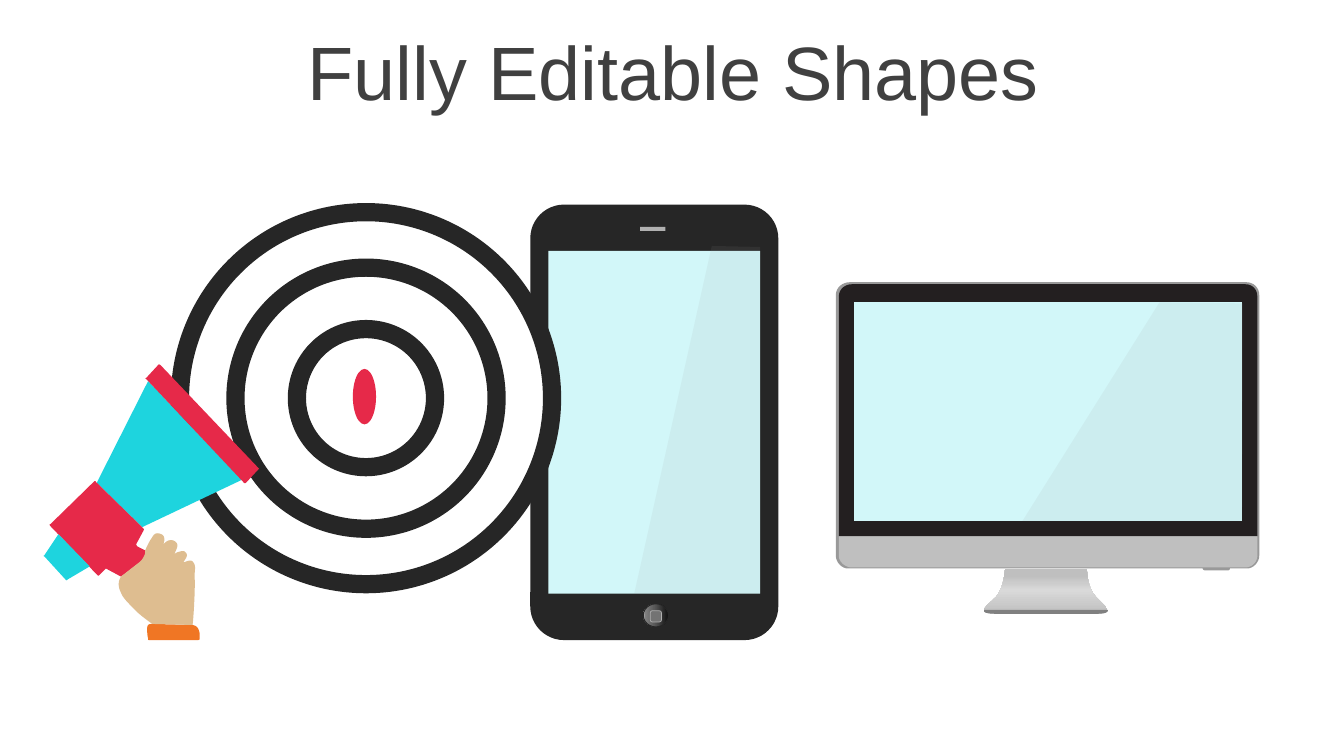
import pptx
import pptx.util
import pptx.dml.color
import pptx.enum.shapes
import pptx.enum.text
import pptx.oxml
import pptx.oxml.ns
from lxml import etree

Inches = pptx.util.Inches
RGBColor = pptx.dml.color.RGBColor
PRESET = pptx.enum.shapes.MSO_SHAPE
qn = pptx.oxml.ns.qn

TITLE_GREY = RGBColor(0x40, 0x40, 0x40)
WHITE = RGBColor(0xFF, 0xFF, 0xFF)
BLACK = RGBColor(0x26, 0x26, 0x26)
BEZEL = RGBColor(0x23, 0x1F, 0x20)
RIM = RGBColor(0x99, 0x99, 0x99)
SILVER = RGBColor(0xBF, 0xBF, 0xBF)
LIGHT_SILVER = RGBColor(0xD9, 0xD9, 0xD9)
FOOT_GREY = RGBColor(0x80, 0x80, 0x80)
SPEAKER_GREY = RGBColor(0xB0, 0xB0, 0xB0)
ICON_GREY = RGBColor(0x73, 0x73, 0x73)
BUTTON_DARK = RGBColor(0x0F, 0x0F, 0x0F)
BUTTON_MID = RGBColor(0x59, 0x59, 0x59)
SCREEN = RGBColor(0xD2, 0xF7, 0xF9)
RED = RGBColor(0xE6, 0x29, 0x49)
TEAL = RGBColor(0x1E, 0xD4, 0xDE)
SKIN = RGBColor(0xDE, 0xBD, 0x90)
ORANGE = RGBColor(0xF0, 0x76, 0x24)

STAND_STOPS = [(0, SILVER), (53, LIGHT_SILVER), (83, SILVER), (100, SILVER)]
BUTTON_STOPS = [(0, BUTTON_DARK), (56, BUTTON_MID), (91, FOOT_GREY), (100, SILVER)]
CURVE_STEPS = 8


def write(box, text, size, color, font="Arial", align=pptx.enum.text.PP_ALIGN.CENTER):
    frame = box.text_frame
    frame.word_wrap = True
    frame.auto_size = pptx.enum.text.MSO_AUTO_SIZE.NONE
    frame.vertical_anchor = pptx.enum.text.MSO_ANCHOR.MIDDLE
    para = frame.paragraphs[0]
    para.alignment = align
    para.line_spacing = 0.9
    span = para.add_run()
    span.text = text
    span.font.name = font
    span.font.size = pptx.util.Pt(size)
    span.font.color.rgb = color


def add_part(group, geometry, fill, preset=None, alpha=None, angle=0, line=None, width=0):
    """Add a preset in a (left, top, width, height) box, or an outline whose
    2-tuples are corners and 6-tuples are Bezier curves. A list fill is a gradient."""
    if preset is not None:
        part = group.shapes.add_shape(preset, *[Inches(length) for length in geometry])
    else:
        points = [geometry[0]]
        for step in geometry[1:]:
            if len(step) == 2:
                points.append(step)
                continue
            x0, y0 = points[-1]
            x1, y1, x2, y2, x3, y3 = step
            for i in range(1, CURVE_STEPS + 1):
                t = i / CURVE_STEPS
                a, b, c, d = (1 - t) ** 3, 3 * t * (1 - t) ** 2, 3 * t * t * (1 - t), t ** 3
                points.append((a * x0 + b * x1 + c * x2 + d * x3,
                               a * y0 + b * y1 + c * y2 + d * y3))
        corners = [(Inches(x), Inches(y)) for x, y in points]
        builder = group.shapes.build_freeform(*corners[0], scale=1.0)
        builder.add_line_segments(corners[1:], close=True)
        part = builder.convert_to_shape()
    part.shadow.inherit = False
    if isinstance(fill, list):
        part.fill.gradient()
        part.fill.gradient_angle = angle
        stops = part._element.spPr.find(qn("a:gradFill")).find(qn("a:gsLst"))
        for stop in list(stops):
            stops.remove(stop)
        for position, color in fill:
            stop = etree.SubElement(stops, qn("a:gs"), pos=str(position * 1000))
            etree.SubElement(stop, qn("a:srgbClr"), val=str(color))
    else:
        part.fill.solid()
        part.fill.fore_color.rgb = fill
        if alpha is not None:
            color = part._element.spPr.find(qn("a:solidFill"))[0]
            etree.SubElement(color, qn("a:alpha"), val=str(alpha * 1000))
    if line is None:
        part.line.fill.background()
    else:
        part.line.color.rgb = line
        part.line.width = pptx.util.Pt(width)
    return part


deck = pptx.Presentation()
deck.slide_width, deck.slide_height = Inches(13.33), Inches(7.5)
page = deck.slides.add_slide(deck.slide_layouts[5])

# Title
title = page.shapes.title
title.left, title.top, title.width, title.height = map(Inches, (0.35, 0.36, 12.66, 0.79))
write(title, "Fully Editable Shapes", size=54, color=TITLE_GREY)

# Monitor
monitor = page.shapes.add_group_shape()
stand = [(10.87, 5.92), (10.78, 5.83, 10.78, 5.64, 10.78, 5.64), (9.97, 5.64),
         (9.97, 5.64, 9.96, 5.83, 9.88, 5.92), (9.79, 6.01, 9.65, 6.09, 9.89, 6.09),
         (10.85, 6.09), (11.09, 6.09, 10.95, 6.01, 10.87, 5.92)]
case = [(12.36, 2.8), (8.43, 2.8), (8.36, 2.8, 8.29, 2.85, 8.29, 2.93), (8.29, 5.51),
        (8.29, 5.58, 8.35, 5.64, 8.41, 5.64), (12.37, 5.64),
        (12.43, 5.64, 12.49, 5.58, 12.49, 5.51), (12.49, 2.93),
        (12.49, 2.85, 12.43, 2.8, 12.36, 2.8)]
port = [(11.93, 5.63), (11.93, 5.63, 11.92, 5.65, 11.95, 5.66), (12.18, 5.66),
        (12.18, 5.66, 12.2, 5.66, 12.2, 5.63)]
bezel = [(12.35, 2.82), (8.45, 2.82), (8.38, 2.82, 8.32, 2.87, 8.32, 2.94), (8.32, 5.32),
         (12.47, 5.32), (12.47, 2.94), (12.47, 2.87, 12.42, 2.82, 12.35, 2.82)]
foot = [(9.76, 6.05), (9.76, 6.06), (9.76, 6.08, 9.8, 6.09, 9.9, 6.09), (10.86, 6.09),
        (10.96, 6.09, 10.99, 6.08, 10.99, 6.05)]
chin = [(8.32, 5.52), (8.32, 5.57, 8.38, 5.63, 8.45, 5.63), (12.35, 5.63),
        (12.42, 5.63, 12.47, 5.57, 12.47, 5.52), (12.47, 5.32), (8.32, 5.32)]
display = [(8.47, 3), (12.32, 3), (12.32, 5.17), (8.47, 5.17)]
add_part(monitor, stand, STAND_STOPS, angle=90)
for outline, color in [(case, RIM), (port, RIM), (bezel, BEZEL), (foot, FOOT_GREY),
                       (chin, SILVER), (display, SCREEN)]:
    add_part(monitor, outline, color)
add_part(monitor, [(11.5, 3), (12.33, 3.01), (12.32, 5.17), (10.14, 5.17)], RIM, alpha=10)

# Tablet
tablet = page.shapes.add_group_shape()
body = add_part(tablet, (5.26, 2.03, 2.46, 4.32), BLACK, PRESET.ROUNDED_RECTANGLE)
body.adjustments[0] = 0.136
add_part(tablet, (6.35, 2.25, 0.25, 0.04), SPEAKER_GREY, PRESET.RECTANGLE)
add_part(tablet, (6.38, 5.99, 0.25, 0.23), BUTTON_STOPS, PRESET.OVAL, angle=180, line=BLACK)
add_part(tablet, (6.45, 6.06, 0.11, 0.11), ICON_GREY, PRESET.ROUNDED_RECTANGLE,
         line=SPEAKER_GREY, width=0.5)
add_part(tablet, (5.44, 2.49, 2.1, 3.4), SCREEN, PRESET.RECTANGLE)
add_part(tablet, [(7.06, 2.44), (7.54, 2.45), (7.54, 5.89), (6.29, 5.89)], RIM, alpha=10)

# Target: concentric rings and a bullseye
target = page.shapes.add_group_shape()
center_x, center_y = 3.63, 3.95
for diameter in (3.69, 2.59, 1.37):
    ring = (center_x - diameter / 2, center_y - diameter / 2, diameter, diameter)
    add_part(target, ring, WHITE, PRESET.OVAL, line=BLACK, width=13)
add_part(target, (3.5, 3.66, 0.23, 0.55), RED, PRESET.OVAL)

# Megaphone held by a hand
megaphone = page.shapes.add_group_shape()
horn = [(0.96, 4.79), (1.47, 3.78), (2.4, 4.76), (1.41, 5.23)]
grip = [(1.41, 5.23), (1.43, 5.25, 1.43, 5.25, 1.42, 5.27), (1.35, 5.4), (1.36, 5.42),
        (1.44, 5.46), (1.46, 5.47, 1.46, 5.47, 1.45, 5.49),
        (1.44, 5.51, 1.42, 5.55, 1.4, 5.57), (1.2, 5.72), (1.05, 5.64), (0.98, 5.71),
        (0.97, 5.71), (0.5, 5.22), (0.49, 5.21, 0.49, 5.2, 0.5, 5.2), (0.93, 4.78),
        (0.94, 4.77, 0.95, 4.77, 0.95, 4.78)]
rim = [(1.45, 3.76), (1.44, 3.76, 1.44, 3.75, 1.45, 3.75), (1.57, 3.62),
       (1.58, 3.61, 1.58, 3.62, 1.59, 3.62), (2.56, 4.64),
       (2.57, 4.65, 2.57, 4.65, 2.56, 4.66), (2.44, 4.79),
       (2.44, 4.79, 2.43, 4.8, 2.42, 4.79)]
mouthpiece = [(0.58, 5.3), (0.89, 5.62), (0.67, 5.75), (0.66, 5.76, 0.66, 5.76, 0.65, 5.75),
              (0.44, 5.52), (0.43, 5.52, 0.43, 5.51, 0.44, 5.51)]
cuff = [(1.51, 6.19), (1.91, 6.2), (1.96, 6.21, 1.97, 6.24, 1.98, 6.28), (1.98, 6.34),
        (1.98, 6.35, 1.97, 6.35, 1.96, 6.35), (1.48, 6.35),
        (1.47, 6.35, 1.47, 6.35, 1.47, 6.34), (1.46, 6.3, 1.46, 6.27, 1.46, 6.24),
        (1.46, 6.2, 1.47, 6.19, 1.51, 6.19)]
hand = [(1.2, 5.72), (1.38, 5.58), (1.41, 5.56, 1.43, 5.52, 1.44, 5.49), (1.44, 5.46),
        (1.45, 5.44, 1.48, 5.37, 1.51, 5.33), (1.53, 5.29, 1.56, 5.28, 1.6, 5.3),
        (1.63, 5.31, 1.64, 5.35, 1.62, 5.4), (1.65, 5.37, 1.67, 5.36, 1.68, 5.36),
        (1.72, 5.35, 1.76, 5.38, 1.76, 5.41), (1.76, 5.44, 1.73, 5.49, 1.73, 5.5),
        (1.74, 5.48, 1.81, 5.46, 1.83, 5.47), (1.89, 5.51, 1.82, 5.56, 1.82, 5.58),
        (1.85, 5.57, 1.89, 5.55, 1.91, 5.57), (1.95, 5.61, 1.93, 5.65, 1.93, 5.72),
        (1.94, 5.79, 1.92, 6.15, 1.91, 6.2), (1.51, 6.19),
        (1.43, 6.13, 1.36, 6.08, 1.3, 6.01), (1.26, 5.97, 1.22, 5.93, 1.2, 5.88),
        (1.17, 5.82, 1.17, 5.77, 1.2, 5.72)]
for outline, color in [(horn, TEAL), (grip, RED), (rim, RED), (mouthpiece, TEAL),
                       (cuff, ORANGE), (hand, SKIN)]:
    add_part(megaphone, outline, color)

deck.save("out.pptx")
